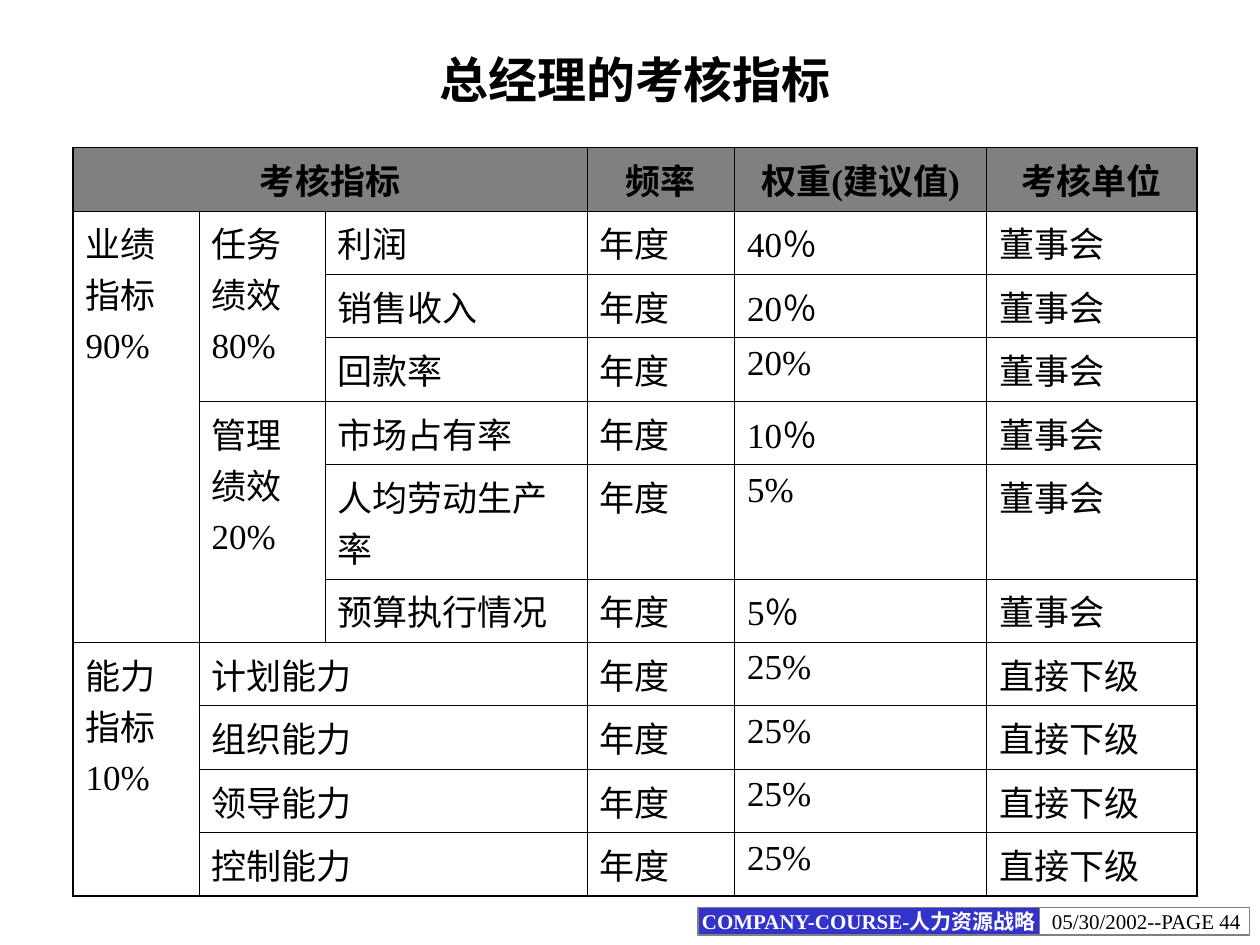
import pptx
import pptx.dml.color
import pptx.enum.shapes
import pptx.enum.text
import pptx.oxml.ns
import pptx.util
from lxml import etree

Inches, Pt = pptx.util.Inches, pptx.util.Pt
RGB = pptx.dml.color.RGBColor.from_string
LEFT, CENTER = pptx.enum.text.PP_ALIGN.LEFT, pptx.enum.text.PP_ALIGN.CENTER
MIDDLE = pptx.enum.text.MSO_ANCHOR.MIDDLE

theme = {
    "black": "000000", "white": "FFFFFF", "grey": "808080", "blue": "3333CC",
    "latin": "Times New Roman", "chinese": "Noto Sans CJK SC",
    "title_size": 28, "table_size": 20, "footer_size": 12, "paragraph_gap": 5,
    "inner_border": 0.45, "outer_border": 1.08, "footer_border": 0.75,
}


def write_text(text_frame, text, size, color, bold=False, alignment=LEFT, latin=theme["latin"]):
    """Write one paragraph per line in the Latin and Chinese fonts."""
    text_frame.text = text
    for index, paragraph in enumerate(text_frame.paragraphs):
        paragraph.alignment = alignment
        if index:
            paragraph.space_before = Pt(theme["paragraph_gap"])
        font = paragraph.runs[0].font
        for name, value in {"size": Pt(size), "bold": bold, "name": latin}.items():
            setattr(font, name, value)
        font.color.rgb = RGB(color)
        east_asian = etree.SubElement(paragraph.runs[0]._r.get_or_add_rPr(), pptx.oxml.ns.qn("a:ea"))
        east_asian.set("typeface", theme["chinese"])


def add_border(cell, side, width):
    """Add a black line on one side (L, R, T or B) of a cell."""
    line = etree.SubElement(cell._tc.get_or_add_tcPr(), pptx.oxml.ns.qn(f"a:ln{side}"))
    line.set("w", str(Pt(width)))
    fill = etree.SubElement(line, pptx.oxml.ns.qn("a:solidFill"))
    etree.SubElement(fill, pptx.oxml.ns.qn("a:srgbClr")).set("val", theme["black"])


presentation = pptx.Presentation()
presentation.slide_width, presentation.slide_height = Inches(10), Inches(7.5)
slide = presentation.slides.add_slide(presentation.slide_layouts[5])

# Footer boxes: left, width, text, fill, text colour, bold, alignment
footer_boxes = [
    (8.25, 1.67, "05/30/2002--PAGE 44", "white", "black", False, LEFT),
    (5.54, 2.71, "COMPANY-COURSE-人力资源战略", "blue", "white", True, CENTER),
]
for left, width, text, fill, color, bold, alignment in footer_boxes:
    shape = slide.shapes.add_shape(
        pptx.enum.shapes.MSO_SHAPE.RECTANGLE, Inches(left), Inches(7.2), Inches(width), Inches(0.22))
    shape.shadow.inherit = False
    shape.fill.solid()
    shape.fill.fore_color.rgb = RGB(theme[fill])
    shape.line.color.rgb = RGB(theme["grey"])
    shape.line.width = Pt(theme["footer_border"])
    shape.text_frame.word_wrap = False
    shape.text_frame.vertical_anchor = MIDDLE
    write_text(shape.text_frame, text, theme["footer_size"], theme[color], bold, alignment)

# Title
title = slide.shapes.title
title_format = {"left": 0.5, "top": 0.25, "width": 9.08, "height": 0.75}
for name, value in title_format.items():
    setattr(title, name, Inches(value))
title.text_frame.auto_size = pptx.enum.text.MSO_AUTO_SIZE.NONE
title.text_frame.vertical_anchor = MIDDLE
write_text(title.text_frame, "总经理的考核指标", theme["title_size"], theme["black"],
           True, CENTER, theme["chinese"])

# Table contents: group, subgroup, indicator, frequency, weight, assessor
rows = [
    ("考核指标", "", "", "频率", "权重(建议值)", "考核单位"),
    ("业绩指标\n90%", "任务绩效\n80%", "利润", "年度", "40％", "董事会"),
    ("", "", "销售收入", "年度", "20％", "董事会"),
    ("", "", "回款率", "年度", "20%", "董事会"),
    ("", "管理绩效\n20%", "市场占有率", "年度", "10％", "董事会"),
    ("", "", "人均劳动生产率", "年度", "5%", "董事会"),
    ("", "", "预算执行情况", "年度", "5％", "董事会"),
    ("能力指标\n10%", "计划能力", "", "年度", "25%", "直接下级"),
    ("", "组织能力", "", "年度", "25%", "直接下级"),
    ("", "领导能力", "", "年度", "25%", "直接下级"),
    ("", "控制能力", "", "年度", "25%", "直接下级"),
]
column_widths = [1, 1, 2.08, 1.17, 2, 1.67]
row_heights = [0.44, 0.48, 0.46, 0.44, 0.44, 0.77] + [0.44] * 5
table = slide.shapes.add_table(
    len(rows), len(column_widths), Inches(0.58), Inches(1.17), Inches(8.92), Inches(5.22)).table
table.first_row = table.horz_banding = False
for column, width in zip(table.columns, column_widths):
    column.width = Inches(width)
for row, height in zip(table.rows, row_heights):
    row.height = Inches(height)

# Merged cells: first row, first column, last row, last column
merges = [(0, 0, 0, 2), (1, 0, 6, 0), (1, 1, 3, 1), (4, 1, 6, 1), (7, 0, 10, 0)]
merges += [(row_index, 1, row_index, 2) for row_index in range(7, 11)]
for top, left, bottom, right in merges:
    table.cell(top, left).merge(table.cell(bottom, right))

# Cell borders, fills and text
for row_index, row in enumerate(rows):
    for column_index, text in enumerate(row):
        cell = table.cell(row_index, column_index)
        is_header = row_index == 0
        on_outer_edge = {
            "L": column_index == 0,
            "R": column_index + cell.span_width == len(column_widths),
            "T": is_header,
            "B": row_index + cell.span_height == len(rows),
        }
        for side, is_outer in on_outer_edge.items():
            add_border(cell, side, theme["outer_border" if is_outer else "inner_border"])
        if is_header:
            cell.fill.solid()
            cell.fill.fore_color.rgb = RGB(theme["grey"])
        else:
            cell.fill.background()
        if text:
            write_text(cell.text_frame, text, theme["table_size"], theme["black"],
                       is_header, CENTER if is_header else LEFT)

presentation.save("out.pptx")
